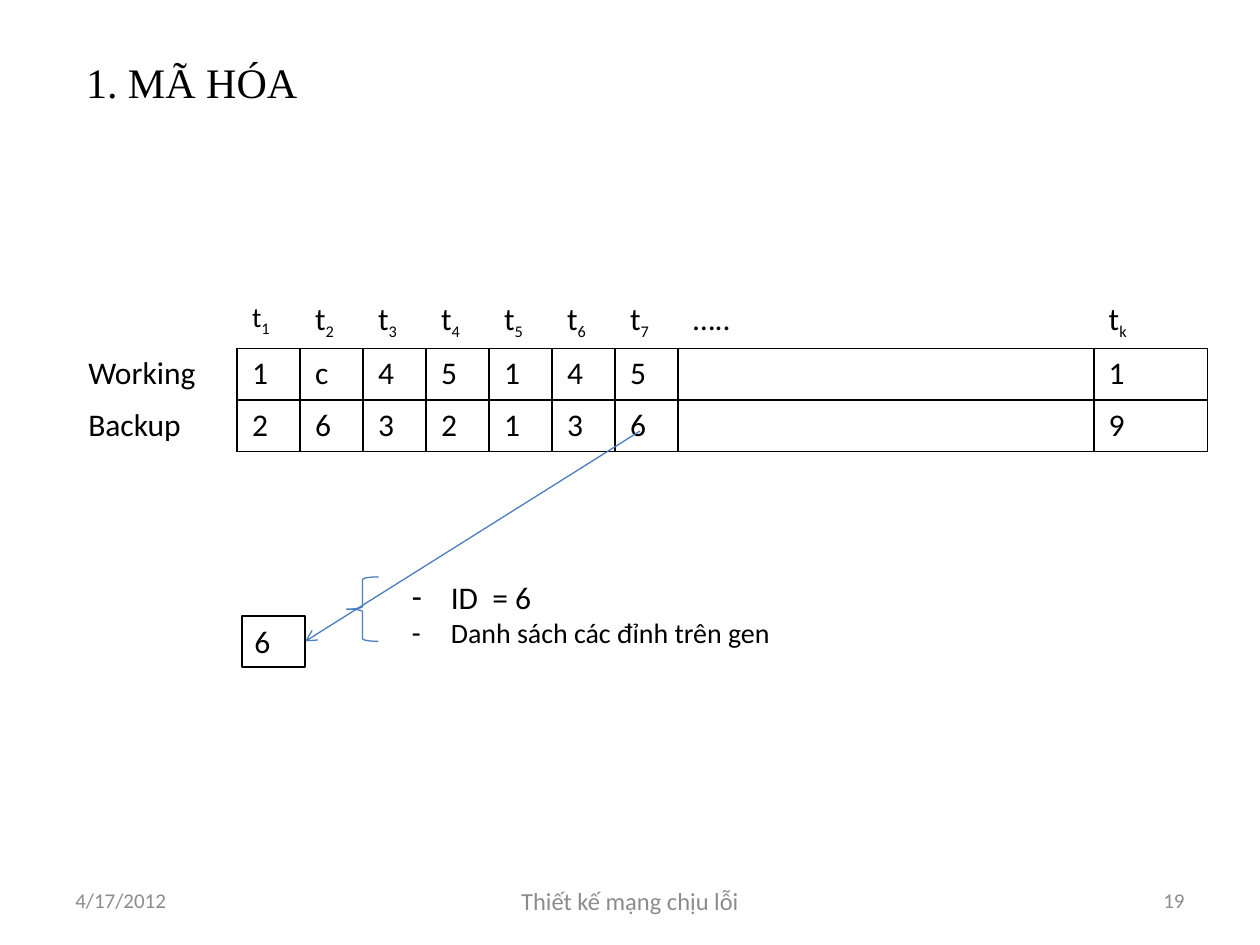
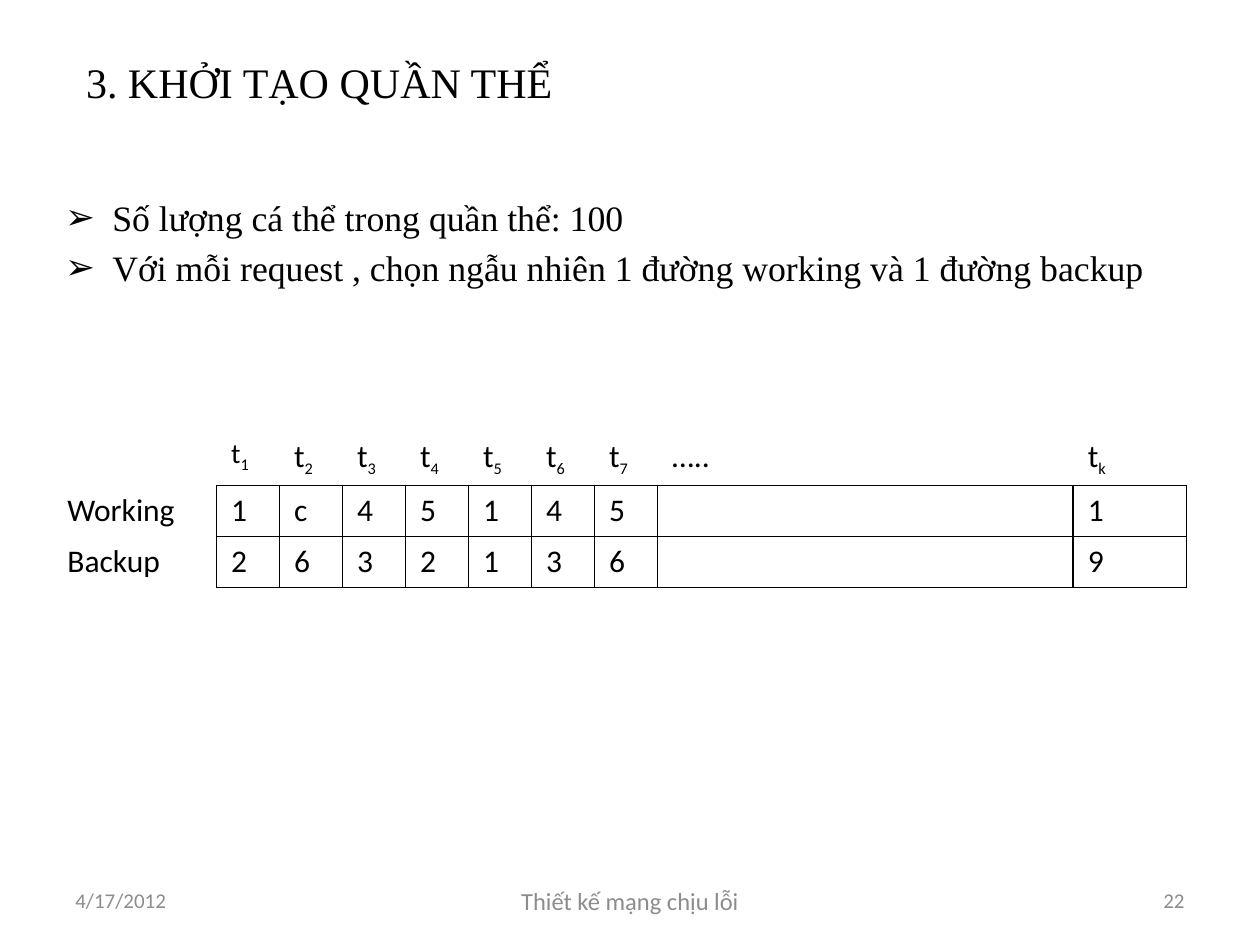
from lxml import etree
from pptx import Presentation
from pptx.dml.color import RGBColor
from pptx.enum.shapes import MSO_CONNECTOR, MSO_SHAPE
from pptx.enum.text import MSO_ANCHOR, MSO_AUTO_SIZE, PP_ALIGN
from pptx.oxml.ns import qn
from pptx.util import Cm, Pt

# Shared look
BLACK = RGBColor(0x00, 0x00, 0x00)
GREY = RGBColor(0x8C, 0x8C, 0x8C)
BLUE = RGBColor(0x4B, 0x7E, 0xBC)
SANS, SERIF = "Calibri", "Times New Roman"
LEFT, CENTER, RIGHT = PP_ALIGN.LEFT, PP_ALIGN.CENTER, PP_ALIGN.RIGHT
TOP, MIDDLE = MSO_ANCHOR.TOP, MSO_ANCHOR.MIDDLE
FIXED, GROW = MSO_AUTO_SIZE.NONE, MSO_AUTO_SIZE.SHAPE_TO_FIT_TEXT
STRAIGHT = MSO_CONNECTOR.STRAIGHT
RECTANGLE, LEFT_BRACE = MSO_SHAPE.RECTANGLE, MSO_SHAPE.LEFT_BRACE
TITLE_AND_BODY, TITLE_ONLY = 1, 5

# Chromosome table: one gene per column, elided genes in the wide one
COLUMNS = [3.3] + [1.27] * 7 + [8.38, 2.29]
ROW_HEIGHT = 1.03
INDEXES = ["1", "2", "3", "4", "5", "6", "7", None, "k"]
GENES = [
    ["Working", "1", "c", "4", "5", "1", "4", "5", "", "1"],
    ["Backup", "2", "6", "3", "2", "1", "3", "6", "", "9"],
]


def place(shape, left, top, width, height):
    shape.left, shape.top = Cm(left), Cm(top)
    shape.width, shape.height = Cm(width), Cm(height)


def add_span(para, text, size, font=SANS, color=BLACK, subscript=False):
    span = para.add_run()
    span.text = text
    span.font.size = Pt(size)
    span.font.name = font
    span.font.color.rgb = color
    if subscript:
        span._r.get_or_add_rPr().set("baseline", "-25000")


def set_bullet(para, char, indent):
    props = para._p.get_or_add_pPr()
    props.set("marL", str(Cm(indent)))
    props.set("indent", str(-Cm(indent)))
    etree.SubElement(props, qn("a:buFont")).set("typeface", "Arial")
    etree.SubElement(props, qn("a:buChar")).set("char", char)


def add_list(frame, items, char, indent, font):
    """Fill a text frame with bulleted (text, size) items."""
    for number, (text, size) in enumerate(items):
        para = frame.add_paragraph() if number else frame.paragraphs[0]
        set_bullet(para, char, indent)
        add_span(para, text, size, font)


def add_page(deck, layout, title):
    page = deck.slides.add_slide(deck.slide_layouts[layout])
    box = page.shapes.title
    place(box, 1.48, 0.76, 22.66, 1.78)
    frame = box.text_frame
    frame.auto_size = FIXED
    frame.vertical_anchor = MIDDLE
    frame.paragraphs[0].alignment = LEFT
    add_span(frame.paragraphs[0], title, 24, SERIF)
    return page


def add_footer(page, number):
    parts = [
        (1.27, 5.93, "4/17/2012", 12, LEFT),
        (8.68, 8.04, "Thiết kế mạng chịu lỗi", 14, CENTER),
        (18.2, 5.93, number, 12, RIGHT),
    ]
    for left, width, text, size, align in parts:
        box = page.shapes.add_textbox(Cm(left), Cm(17.65), Cm(width), Cm(1.01))
        frame = box.text_frame
        frame.word_wrap = True
        frame.vertical_anchor = MIDDLE
        frame.paragraphs[0].alignment = align
        add_span(frame.paragraphs[0], text, size, color=GREY)


def set_borders(cell, drawn):
    """Draw the named sides (L, R, T, B) and hide the others."""
    props = cell._tc.get_or_add_tcPr()
    for position, side in enumerate("LRTB"):
        line = etree.Element(qn("a:ln" + side), w=str(Pt(1)))
        if side in drawn:
            fill = etree.SubElement(line, qn("a:solidFill"))
            etree.SubElement(fill, qn("a:srgbClr")).set("val", str(BLACK))
        else:
            etree.SubElement(line, qn("a:noFill"))
        props.insert(position, line)


def fill_cell(cell, spans, borders):
    cell.margin_left = cell.margin_right = Cm(0.3)
    cell.margin_top = cell.margin_bottom = Cm(0.13)
    cell.fill.background()
    set_borders(cell, borders)
    for text, size, subscript in spans:
        add_span(cell.text_frame.paragraphs[0], text, size, subscript=subscript)


def add_gene_table(page, left, top):
    rows = len(GENES) + 1
    table = page.shapes.add_table(
        rows, len(COLUMNS), Cm(left), Cm(top),
        Cm(sum(COLUMNS)), Cm(rows * ROW_HEIGHT)).table
    table.first_row = table.horz_banding = False
    for column, width in zip(table.columns, COLUMNS):
        column.width = Cm(width)
    for row in table.rows:
        row.height = Cm(ROW_HEIGHT)

    # Header: t with a subscript index
    fill_cell(table.cell(0, 0), [], "")
    for column, index in enumerate(INDEXES, 1):
        if index is None:
            spans = [("…..", 18, False)]
        else:
            spans = [("t", 16 if index == "1" else 18, False), (index, 16, True)]
        fill_cell(table.cell(0, column), spans, "B")

    # Gene rows: open label column, boxed values
    for row, values in enumerate(GENES, 1):
        for column, value in enumerate(values):
            spans = [(value, 18, False)] if value else []
            fill_cell(table.cell(row, column), spans, "LRTB" if column else "R")


def add_outline(page, kind, left, top, width, height, color):
    shape = page.shapes.add_shape(kind, Cm(left), Cm(top), Cm(width), Cm(height))
    shape.shadow.inherit = False
    shape.fill.background()
    shape.line.color.rgb = color
    shape.line.width = Pt(0.75)
    return shape


def add_arrow(page, x1, y1, x2, y2):
    arrow = page.shapes.add_connector(STRAIGHT, Cm(x1), Cm(y1), Cm(x2), Cm(y2))
    arrow.line.color.rgb = BLUE
    arrow.line.width = Pt(0.75)
    etree.SubElement(arrow.line._get_or_add_ln(), qn("a:tailEnd")).set("type", "arrow")
    etree.SubElement(arrow._element.spPr, qn("a:effectLst"))


def add_gene_detail(page):
    """Explain one gene: its box, a brace and the list of its contents."""
    add_arrow(page, 12.9, 8.69, 6.15, 12.93)
    gene = add_outline(page, RECTANGLE, 4.88, 12.42, 1.27, 1.03, BLACK)
    frame = gene.text_frame
    frame.auto_size = GROW
    frame.vertical_anchor = TOP
    frame.paragraphs[0].alignment = LEFT
    add_span(frame.paragraphs[0], "6", 18)
    add_outline(page, LEFT_BRACE, 6.99, 11.63, 0.64, 1.3, BLUE)
    box = page.shapes.add_textbox(Cm(8.05), Cm(11.53), Cm(7.82), Cm(1.7))
    box.text_frame.word_wrap = False
    box.text_frame.auto_size = GROW
    items = [("ID  = 6", 18), ("Danh sách các đỉnh trên gen", 16)]
    add_list(box.text_frame, items, "-", 0.79, SANS)


def main():
    deck = Presentation()
    deck.slide_width, deck.slide_height = Cm(25.4), Cm(19.05)

    # Encoding
    page = add_page(deck, TITLE_ONLY, "1. MÃ HÓA")
    add_gene_table(page, 1.48, 5.93)
    add_footer(page, "19")
    add_gene_detail(page)

    # Initial population
    page = add_page(deck, TITLE_AND_BODY, "3. KHỞI TẠO QUẦN THỂ")
    body = page.placeholders[1]
    place(body, 1.06, 3.81, 22.86, 1.91)
    body.text_frame.auto_size = FIXED
    items = [
        ("Số lượng cá thể trong quần thể: 100", 20.4),
        ("Với mỗi request , chọn ngẫu nhiên 1 đường working và 1 đường backup", 20.4),
    ]
    add_list(body.text_frame, items, "➢", 0.95, SERIF)
    add_footer(page, "22")
    add_gene_table(page, 1.06, 8.68)

    deck.save("out.pptx")


main()
